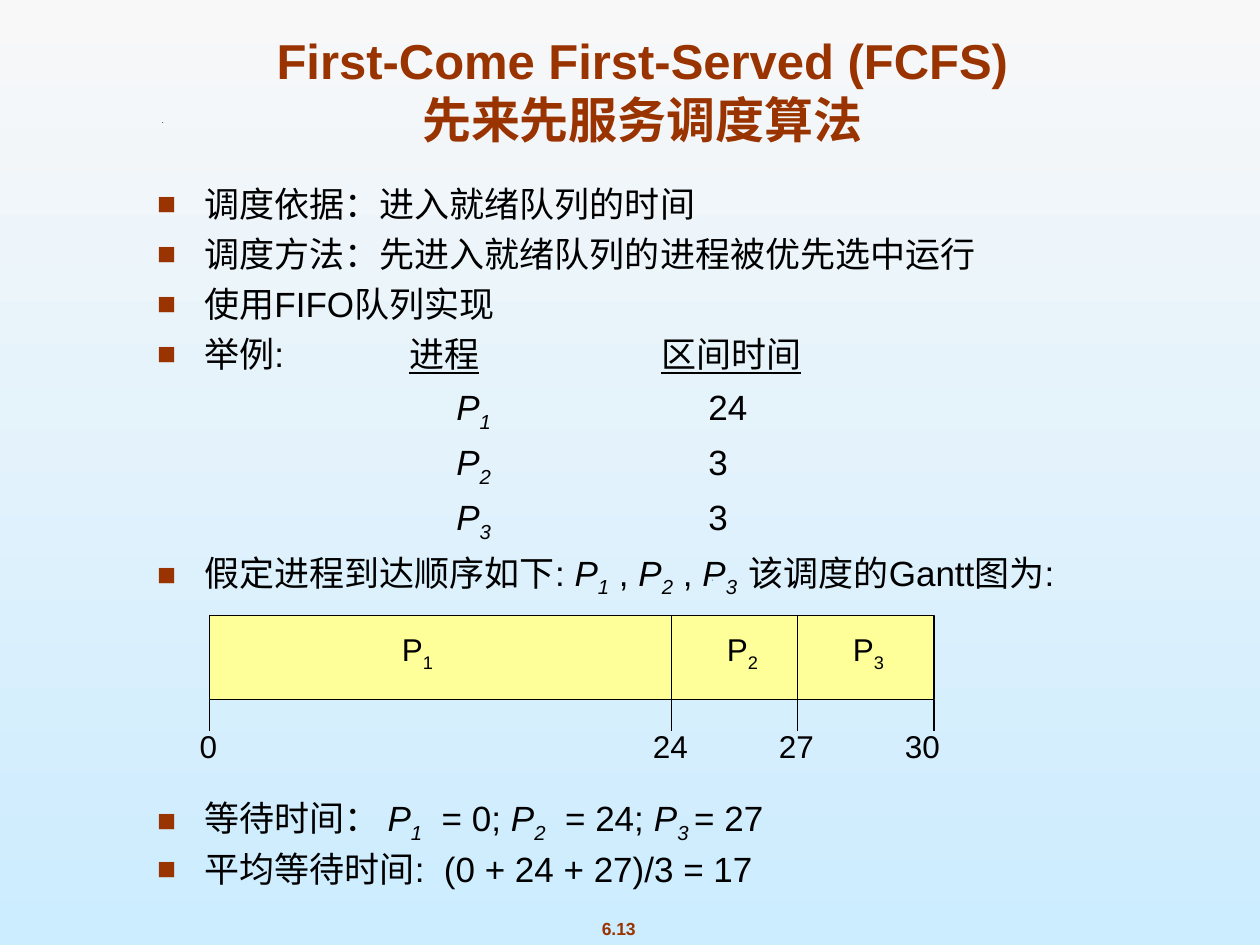
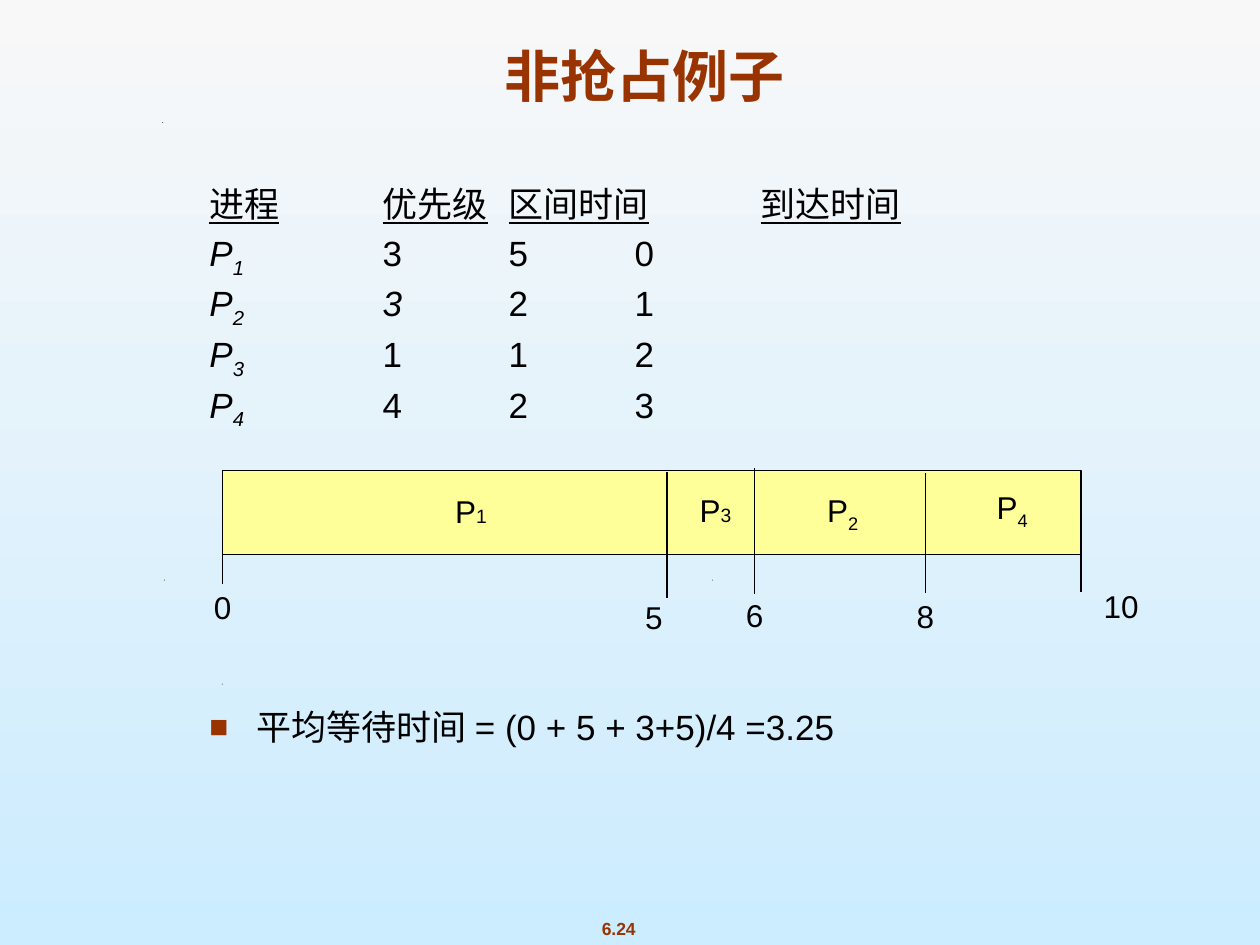
from lxml.etree import SubElement
from pptx import Presentation
from pptx.dml.color import RGBColor
from pptx.enum.shapes import MSO_CONNECTOR as Connector, MSO_SHAPE as Shape
from pptx.enum.text import MSO_ANCHOR as Anchor, PP_ALIGN as Align
from pptx.oxml.ns import qn
from pptx.util import Pt

BLACK = RGBColor(0x00, 0x00, 0x00)
RUST = RGBColor(0x99, 0x33, 0x00)
YELLOW = RGBColor(0xFF, 0xFF, 0x99)
SKY_TOP = RGBColor(0xF8, 0xF8, 0xF8)
SKY_BOTTOM = RGBColor(0xCC, 0xEC, 0xFF)
FONT = "Arial"
INDENT = 27
TAB_STEP = 72
LABEL_HEIGHT = 29
SPECKS = [(93.6, 331.2), (406.8, 331.2), (92.6, 69.8)]


# Text
def add_runs(para, runs, size, color=BLACK, bold=False):
    """Each run is a text and its style words: i, u, sub, small."""
    for text, style in runs:
        span = para.add_run()
        span.text = text
        font = span.font
        font.name, font.bold = FONT, bold
        font.size = Pt(11 if "small" in style else size)
        font.color.rgb = color
        font.italic = "i" in style.split()
        font.underline = "u" in style.split()
        if "sub" in style:
            span._r.get_or_add_rPr().set("baseline", "-25000")


def plain(text):
    return [(text, "")]


def process(number, style="i"):
    return [("P", style), (str(number), style + " sub")]


def add_box(slide, left, top, width, height, anchor=Anchor.TOP, wrap=True):
    box = slide.shapes.add_textbox(Pt(left), Pt(top), Pt(width), Pt(height))
    frame = box.text_frame
    frame.word_wrap = wrap
    frame.vertical_anchor = anchor
    return frame


def add_title(slide, lines, size, left, top, width, height):
    para = add_box(slide, left, top, width, height, Anchor.BOTTOM).paragraphs[0]
    para.alignment = Align.CENTER
    for index, line in enumerate(lines):
        if index:
            para.add_line_break()
        add_runs(para, plain(line), size, RUST, bold=True)


def add_label(slide, left, top, width, runs, size=18, height=LABEL_HEIGHT, **look):
    frame = add_box(slide, left, top, width, height, Anchor.MIDDLE, wrap=False)
    para = frame.paragraphs[0]
    para.alignment = Align.CENTER
    add_runs(para, runs, size, **look)


def set_bullet(para, bulleted):
    props = para._p.get_or_add_pPr()
    props.set("marL", str(Pt(INDENT)))
    props.set("indent", str(-Pt(INDENT)))
    props.set("defTabSz", str(Pt(TAB_STEP)))
    if not bulleted:
        SubElement(props, qn("a:buNone"))
        return
    color = SubElement(props, qn("a:buClr"))
    SubElement(color, qn("a:srgbClr")).set("val", str(RUST))
    SubElement(props, qn("a:buSzPct")).set("val", "90000")
    SubElement(props, qn("a:buFont")).set("typeface", FONT)
    SubElement(props, qn("a:buChar")).set("char", "■")


def add_body(slide, left, top, height, rows):
    """Each row is (bulleted, space before, runs)."""
    frame = add_box(slide, left, top, 560, height)
    for index, (bulleted, gap, runs) in enumerate(rows):
        para = frame.add_paragraph() if index else frame.paragraphs[0]
        set_bullet(para, bulleted)
        para.line_spacing = Pt(21.6)
        para.space_before = Pt(gap if index else 0)
        add_runs(para, runs, 20)


# Gantt chart
def add_line(slide, x, top, bottom):
    line = slide.shapes.add_connector(
        Connector.STRAIGHT, Pt(x), Pt(top), Pt(x), Pt(bottom))
    line.line.color.rgb = BLACK
    line.line.width = Pt(0.75)
    SubElement(line._element.spPr, qn("a:effectLst"))


def add_gantt(slide, bar, lines, names, times):
    rect = slide.shapes.add_shape(Shape.RECTANGLE, *map(Pt, bar))
    rect.shadow.inherit = False
    rect.fill.solid()
    rect.fill.fore_color.rgb = YELLOW
    rect.line.color.rgb = BLACK
    rect.line.width = Pt(0.75)
    for x, top, bottom in lines:
        add_line(slide, x, top, bottom)
    for left, top, runs in names:
        add_label(slide, left, top, 33, runs)
    for left, top, time in times:
        add_label(slide, left, top, 24.5 if time < 10 else 34.5, plain(str(time)))


# Shared slide frame
def add_speck(slide, x, y):
    outline = slide.shapes.build_freeform(Pt(x), Pt(y + 0.5), scale=1.0)
    outline.add_line_segments([(Pt(x + 0.5), Pt(y)), (Pt(x + 0.6), Pt(y + 0.4))])
    speck = outline.convert_to_shape()
    speck.shadow.inherit = False
    speck.fill.solid()
    speck.fill.fore_color.rgb = BLACK
    speck.line.fill.background()


def add_page(deck, number, specks):
    page = deck.slides.add_slide(deck.slide_layouts[6])
    fill = page.background.fill
    fill.gradient()
    fill.gradient_angle = 270
    for stop, position, color in zip(
            fill.gradient_stops, (0, 1), (SKY_TOP, SKY_BOTTOM)):
        stop.position = position
        stop.color.rgb = color
    add_label(page, 335.9, 520.8, 35.3, plain(number), 10, 19.4,
              color=RUST, bold=True)
    for x, y in specks:
        add_speck(page, x, y)
    return page


# Slides
def build_fcfs(deck):
    page = add_page(deck, "6.13", SPECKS)
    add_title(page, ["First-Come First-Served (FCFS)", "先来先服务调度算法"],
              28, 74, 22.7, 586, 65.5)
    rows = [(True, 7, plain(text)) for text in (
        "调度依据：进入就绪队列的时间",
        "调度方法：先进入就绪队列的进程被优先选中运行",
        "使用FIFO队列实现")]
    rows.append((True, 7, [("举例:\t", ""), ("进程", "u"), ("\t\t", ""),
                           ("区间时间", "u")]))
    for number, burst in enumerate((24, 3, 3), 1):
        rows.append((False, 12 if number == 1 else 9.8, [
            ("\t\t\t", ""), *process(number), (f"\t\t{burst}", "")]))
    rows.append((True, 10, [
        ("假定进程到达顺序如下: ", ""), *process(1), (" , ", ""), *process(2),
        (" , ", ""), *process(3), ("  ", "i sub"), ("该调度的Gantt图为:", "")]))
    add_body(page, 82.7, 103.3, 247, rows)

    left, top, bottom = 119.8, 351.8, 399.8
    edges = [left, 383.8, 455.8, 533.8]
    add_gantt(
        page, (left, top, edges[-1] - left, bottom - top),
        [(x, bottom, 417.6) for x in edges]
        + [(x, top, bottom) for x in edges[1:-1]],
        [(x, 357.8, process(number, ""))
         for number, x in enumerate((222, 407.8, 479.8), 1)],
        [(106.8, 411.8, 0)]
        + [(365.8 + 72 * step, 411.8, time)
           for step, time in enumerate((24, 27, 30))])

    add_body(page, 82.7, 457.2, 58, [
        (True, 0, [("等待时间： ", ""), *process(1), ("  = 0; ", ""),
                   *process(2), ("  = 24; ", ""), *process(3),
                   (" ", "i sub"), ("= 27", "")]),
        (True, 4.6, plain("平均等待时间:  (0 + 24 + 27)/3 = 17"))])


def build_priority(deck):
    page = add_page(deck, "6.24", [(126.7, 390.6), *SPECKS])
    add_title(page, ["非抢占例子"], 32, 61, 18, 615, 47.5)
    header = [("进程", "u")]
    for name in ("优先级", "区间时间", "到达时间"):
        header += [("\t", ""), (name, "u")]
    rows = [(False, 0, header)]
    data = [(3, 5, 0), (3, 2, 1), (1, 1, 2), (4, 2, 3)]
    for number, (priority, burst, arrival) in enumerate(data, 1):
        rows.append((False, 9.5 if number == 1 else 7.3, [
            *process(number), ("\t\t", ""),
            (str(priority), "i" if number == 2 else ""),
            (f"\t{burst}\t{arrival}", "")]))
    add_body(page, 112.6, 103.3, 152, rows)

    add_gantt(
        page, (127.2, 268.9, 490.5, 48),
        [(127.2, 316.4, 333.8), (381.2, 269.5, 341.8), (431.3, 267.6, 339.6),
         (528.8, 270, 339), (617.7, 269.3, 338.4)],
        [(252.7, 277.4, [("P", ""), ("1", "small")]),
         (392.4, 276.6, [("P", ""), ("3", "small")]),
         (465.1, 278.2, process(2, "")), (561.9, 276.6, process(4, ""))],
        [(115, 332.4, 0), (361.4, 338, 5), (419, 336.9, 6),
         (516.5, 337.3, 8), (623.4, 331.7, 10)])

    add_body(page, 112.6, 401.8, 30, [
        (True, 0, plain("平均等待时间 = (0 + 5 + 3+5)/4 =3.25"))])


def main():
    deck = Presentation()
    deck.slide_width, deck.slide_height = Pt(720), Pt(540)
    build_fcfs(deck)
    build_priority(deck)
    deck.save("out.pptx")


if __name__ == "__main__":
    main()
